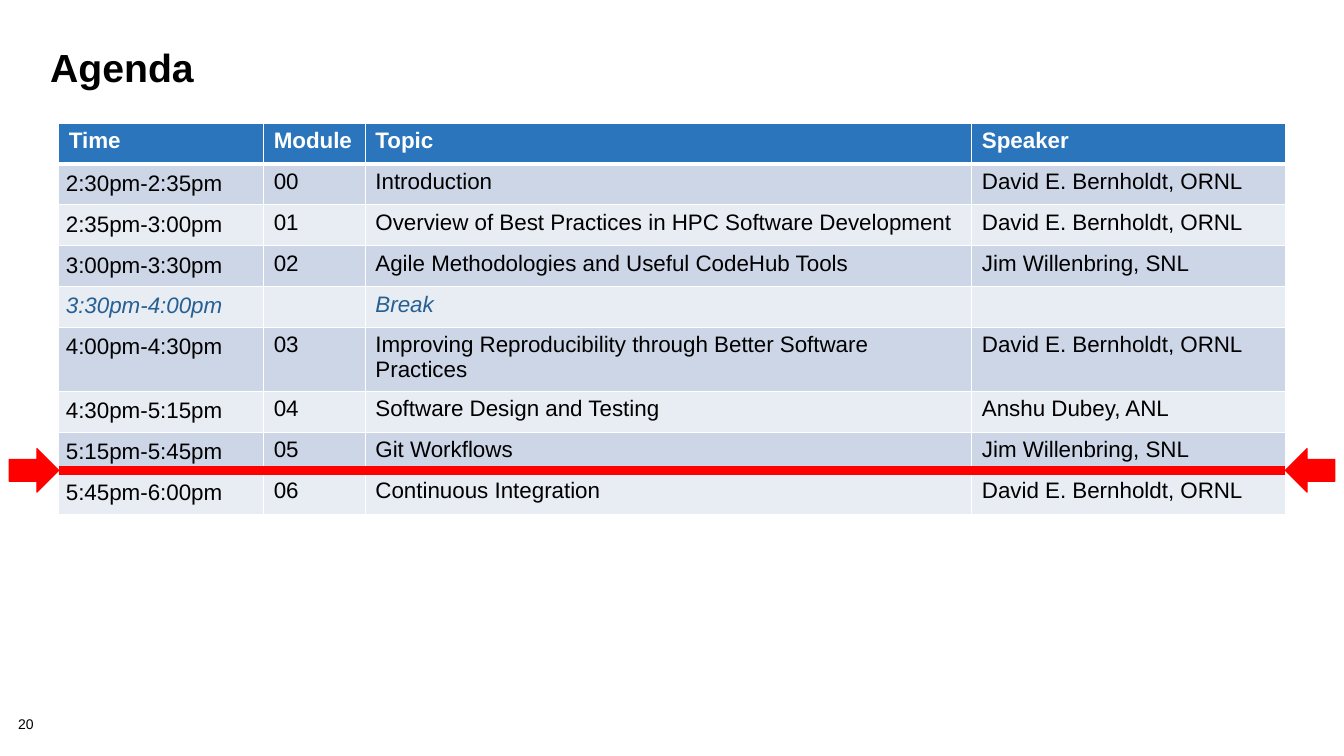
from lxml.etree import SubElement
from pptx import Presentation
from pptx.dml.color import RGBColor as RGB
from pptx.enum.shapes import MSO_CONNECTOR as CONN, MSO_SHAPE as SHAPE
from pptx.oxml.ns import qn
from pptx.util import Emu, Pt

COLORS = {
    "text": "000000", "paper": "FFFFFF", "header": "2A75BB",
    "odd": "CDD6E7", "even": "E8ECF3", "break": "266093", "marker": "FF0000",
}
COLUMNS = [24.4, 12.1, 72.2, 37.3]
ROW = 4.88
AGENDA = [
    ("Time", "Module", "Topic", "Speaker"),
    ("2:30pm-2:35pm", "00", "Introduction", "David E. Bernholdt, ORNL"),
    ("2:35pm-3:00pm", "01", "Overview of Best Practices in HPC Software Development",
     "David E. Bernholdt, ORNL"),
    ("3:00pm-3:30pm", "02", "Agile Methodologies and Useful CodeHub Tools",
     "Jim Willenbring, SNL"),
    ("3:30pm-4:00pm", "", "Break", ""),
    ("4:00pm-4:30pm", "03", "Improving Reproducibility through Better Software Practices",
     "David E. Bernholdt, ORNL"),
    ("4:30pm-5:15pm", "04", "Software Design and Testing", "Anshu Dubey, ANL"),
    ("5:15pm-5:45pm", "05", "Git Workflows", "Jim Willenbring, SNL"),
    ("5:45pm-6:00pm", "06", "Continuous Integration", "David E. Bernholdt, ORNL"),
]


class AgendaSlide:
    """Draws styled elements on one slide, measured on a 160 by 90 grid."""

    font = "Arial"

    def __init__(self, prs):
        self.unit = prs.slide_width / 160
        self.s = prs.slides.add_slide(prs.slide_layouts[6])

    def grid(self, *values):
        return [Emu(round(v * self.unit)) for v in values]

    def color(self, name):
        return RGB.from_string(COLORS[name])

    def run(self, p, text, size, color="text", bold=False, italic=False):
        r = p.add_run()
        r.text = text
        r.font.name, r.font.size = self.font, Pt(size)
        r.font.bold, r.font.italic = bold, italic
        r.font.color.rgb = self.color(color)

    def text(self, box, text, size, spacing, inset=True, bold=False):
        tf = self.s.shapes.add_textbox(*self.grid(*box)).text_frame
        tf.word_wrap = True
        if not inset:
            tf.margin_left = tf.margin_right = tf.margin_top = tf.margin_bottom = 0
        p = tf.paragraphs[0]
        p.line_spacing = spacing
        self.run(p, text, size, bold=bold)

    def border(self, cell, side, width):
        ln = SubElement(cell._tc.get_or_add_tcPr(), qn(f"a:ln{side}"), w=str(Pt(width)))
        fill = SubElement(ln, qn("a:solidFill"))
        SubElement(fill, qn("a:srgbClr"), val=COLORS["paper"])

    def cell(self, cell, text, row, col, is_break):
        header = row == 0
        thick = {(0, "B"), (1, "T")}
        for side in "LRTB":
            self.border(cell, side, 3 if (row, side) in thick else 1)
        cell.fill.solid()
        fill = "header" if header else "odd" if row % 2 else "even"
        cell.fill.fore_color.rgb = self.color(fill)
        if col == 0 and not header:
            inset = self.grid(0.84)[0]
            cell.margin_left = cell.margin_right = inset
            cell.margin_top = cell.margin_bottom = inset
        if text:
            color = "paper" if header else "break" if is_break else "text"
            self.run(cell.text_frame.paragraphs[0], text, 16, color, header, is_break)

    def table(self, left, top, columns, row_height, rows):
        box = self.grid(left, top, sum(columns), row_height * len(rows))
        tbl = self.s.shapes.add_table(len(rows), len(columns), *box).table
        tbl.horz_banding = False
        for column, width in zip(tbl.columns, self.grid(*columns)):
            column.width = width
        for i, values in enumerate(rows):
            tbl.rows[i].height = self.grid(row_height)[0]
            for j, value in enumerate(values):
                self.cell(tbl.cell(i, j), value, i, j, "Break" in values)

    def line(self, x1, y1, x2, y2, width):
        sp = self.s.shapes.add_connector(CONN.STRAIGHT, *self.grid(x1, y1, x2, y2))
        sp.line.color.rgb = self.color("marker")
        sp.line.width = Pt(width)
        SubElement(sp._element.spPr, qn("a:effectLst"))

    def arrow(self, box, rotation):
        sp = self.s.shapes.add_shape(SHAPE.RIGHT_ARROW, *self.grid(*box))
        sp.rotation = rotation
        sp.shadow.inherit = False
        sp.fill.solid()
        sp.fill.fore_color.rgb = self.color("marker")
        sp.line.color.rgb = self.color("marker")
        sp.line.width = Pt(0.75)


def main():
    prs = Presentation()
    prs.slide_width, prs.slide_height = Emu(12192000), Emu(6858000)
    s = AgendaSlide(prs)
    left, marker_y, arrow_w, arrow_h = 7, 56, 5.9, 5.2
    right = left + sum(COLUMNS)
    arrow_top = marker_y - arrow_h / 2

    s.text((2.16, 85.4, 6.7, 1.9), "20", 10, 0.9, inset=False)
    s.text((4.8, 5.4, 149.3, 12), "Agenda", 28, 0.85, bold=True)
    s.table(left, 14.64, COLUMNS, ROW, AGENDA)
    s.line(left, marker_y, right, marker_y, 6)
    s.arrow((left - arrow_w, arrow_top, arrow_w, arrow_h), 0)
    s.arrow((right, arrow_top, arrow_w, arrow_h), 180)
    prs.save("out.pptx")


if __name__ == "__main__":
    main()
